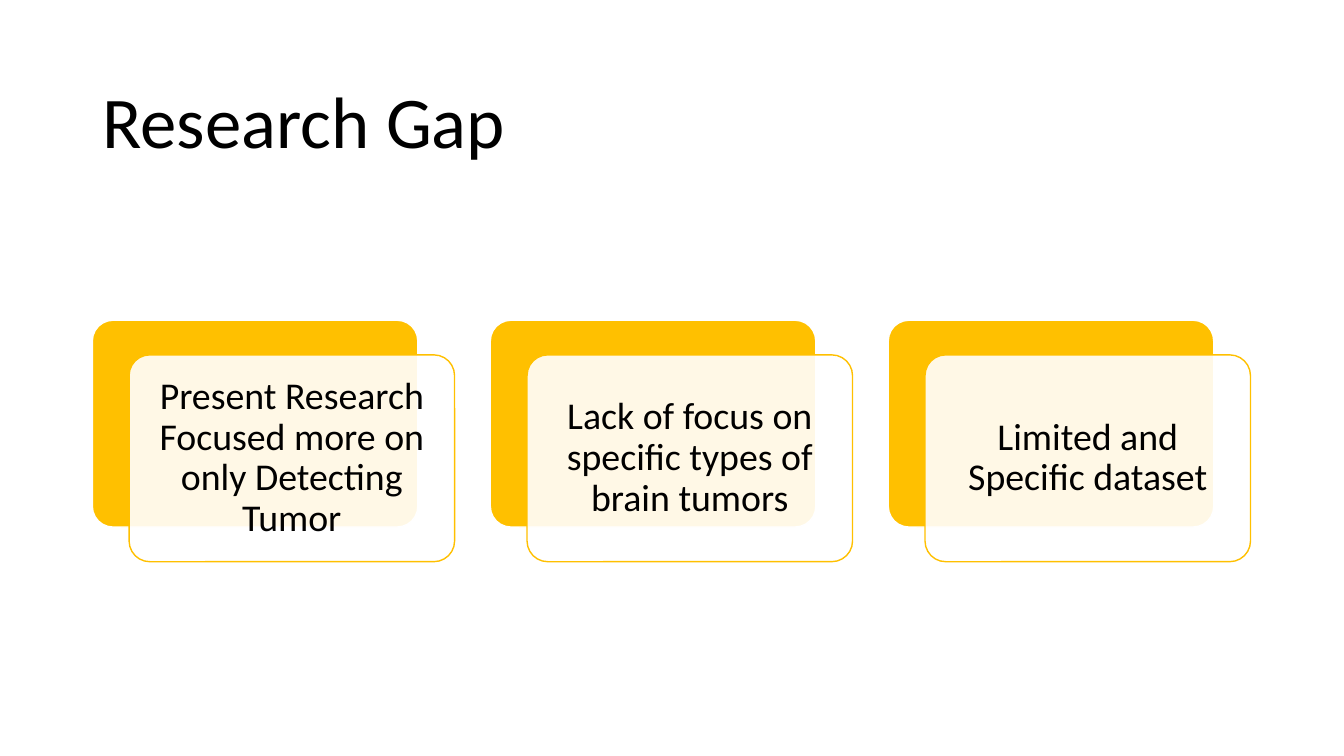
"""Build the Research Gap slide with three layered cards."""
from lxml import etree
from pptx import Presentation
from pptx.dml.color import RGBColor
from pptx.enum.shapes import MSO_SHAPE
from pptx.enum.text import MSO_ANCHOR, PP_ALIGN
from pptx.oxml.ns import qn
from pptx.util import Pt

PX = 9525
FONT = "Calibri"
COLORS = {"gold": "FFC000", "white": "FFFFFF", "text": "000000"}
GAPS = [
    "Present Research Focused more on only Detecting Tumor",
    "Lack of focus on specific types of brain tumors",
    "Limited and Specific dataset",
]
CARD_LEFT, CARD_TOP, CARD_WIDTH, CARD_HEIGHT = 88, 305, 310, 197
CARD_PITCH = 379
FRONT_SHIFT_X, FRONT_SHIFT_Y = 35, 33
CARD_INSET = 11


def add_card(slide, left, top, fill, line):
    card = slide.shapes.add_shape(
        MSO_SHAPE.ROUNDED_RECTANGLE,
        left * PX, top * PX, CARD_WIDTH * PX, CARD_HEIGHT * PX)
    card.adjustments[0] = 0.1
    card.shadow.inherit = False
    card.fill.solid()
    card.fill.fore_color.rgb = RGBColor.from_string(COLORS[fill])
    card.line.color.rgb = RGBColor.from_string(COLORS[line])
    card.line.width = Pt(1)
    return card


def write_text(shape, text, size, alignment):
    frame = shape.text_frame
    frame.word_wrap = True
    frame.vertical_anchor = MSO_ANCHOR.MIDDLE
    frame.text = text
    paragraph = frame.paragraphs[0]
    paragraph.alignment = alignment
    paragraph.line_spacing = 0.9
    paragraph.font.name = FONT
    paragraph.font.size = Pt(size)
    paragraph.font.color.rgb = RGBColor.from_string(COLORS["text"])
    return frame


presentation = Presentation()
presentation.slide_width = 1280 * PX
presentation.slide_height = 720 * PX
slide = presentation.slides.add_slide(presentation.slide_layouts[5])

title = slide.shapes.title
title.left, title.top = 88 * PX, 59 * PX
title.width, title.height = 1104 * PX, 119 * PX
write_text(title, "Research Gap", 52, PP_ALIGN.LEFT)

for index, gap in enumerate(GAPS):
    left = CARD_LEFT + index * CARD_PITCH
    add_card(slide, left, CARD_TOP, "gold", "white")
    front = add_card(slide, left + FRONT_SHIFT_X, CARD_TOP + FRONT_SHIFT_Y,
                     "white", "gold")
    fill_color = front.fill._xPr.find(qn("a:solidFill"))[0]
    etree.SubElement(fill_color, qn("a:alpha")).set("val", "90000")
    frame = write_text(front, gap, 27, PP_ALIGN.CENTER)
    frame.margin_left = frame.margin_right = CARD_INSET * PX
    frame.margin_top = frame.margin_bottom = CARD_INSET * PX

presentation.save("out.pptx")
